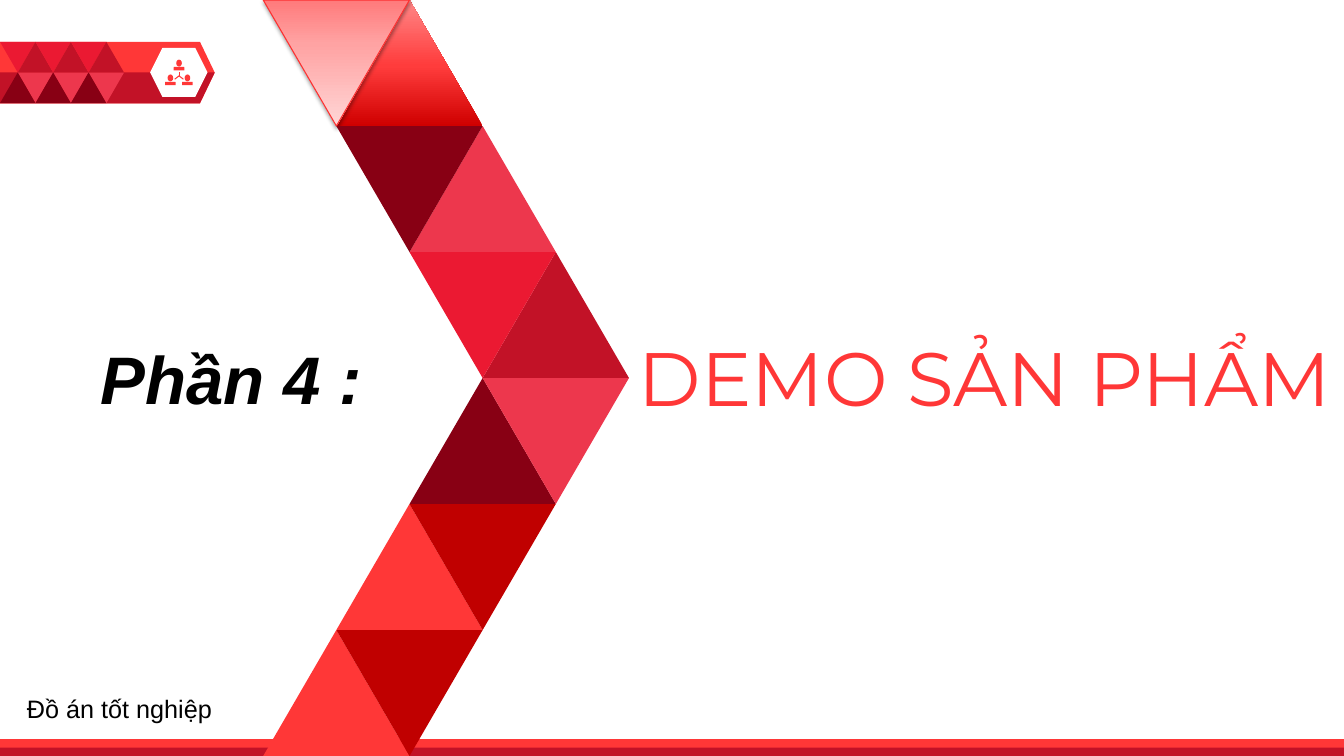
from copy import deepcopy

from lxml import etree
from pptx import Presentation
from pptx.dml.color import RGBColor
from pptx.enum.shapes import MSO_CONNECTOR, MSO_SHAPE
from pptx.enum.text import MSO_ANCHOR, MSO_AUTO_SIZE, PP_ALIGN
from pptx.oxml.ns import qn
from pptx.util import Pt

TRIANGLE = MSO_SHAPE.ISOSCELES_TRIANGLE
PENTAGON = MSO_SHAPE.PENTAGON
HEXAGON = MSO_SHAPE.HEXAGON
RECTANGLE = MSO_SHAPE.RECTANGLE
OVAL = MSO_SHAPE.OVAL
SHOULDERS = MSO_SHAPE.ROUND_2_SAME_RECTANGLE
STRAIGHT = MSO_CONNECTOR.STRAIGHT
TOP = MSO_ANCHOR.TOP
NO_AUTOFIT = MSO_AUTO_SIZE.NONE
LEFT, CENTER = PP_ALIGN.LEFT, PP_ALIGN.CENTER

RED, CRIMSON, SCARLET = "FF3737", "C21227", "EB1932"
ROSE, MAROON, DARK_RED = "ED374D", "880014", "C00000"
WHITE, BLACK = "FFFFFF", "000000"


def rgb(code):
    return RGBColor.from_string(code)


class SectionSlide:
    """Holds the slide and draws each kind of element, with lengths in points."""

    def __init__(self, slide):
        self.slide = slide
        self.shapes = slide.shapes

    def paint(self, shape, fill):
        shape.shadow.inherit = False
        shape.line.fill.background()
        if isinstance(fill, str):
            shape.fill.solid()
            shape.fill.fore_color.rgb = rgb(fill)
        else:
            self.gradient(shape, fill)
        return shape

    def gradient(self, shape, stops):
        """Fill upwards with three (position, colour) stops."""
        shape.fill.gradient()
        shape.fill.gradient_angle = 90
        stop_list = shape._element.spPr.find(qn("a:gradFill")).find(qn("a:gsLst"))
        stop_list.append(deepcopy(stop_list[0]))
        for stop, (position, colour) in zip(shape.fill.gradient_stops, stops):
            stop.position = position
            stop.color.rgb = rgb(colour)

    def preset(self, kind, left, top, width, height, fill):
        shape = self.shapes.add_shape(kind, Pt(left), Pt(top), Pt(width), Pt(height))
        return self.paint(shape, fill)

    def triangle(self, left, top, width, height, fill, down=False):
        shape = self.preset(TRIANGLE, left, top, width, height, fill)
        shape.rotation = 180 if down else 0
        return shape

    def outline(self, points, fill):
        corners = [(Pt(x), Pt(y)) for x, y in points]
        builder = self.shapes.build_freeform(*corners[0])
        builder.add_line_segments(corners[1:])
        return self.paint(builder.convert_to_shape(), fill)

    def line(self, x1, y1, x2, y2, colour, weight):
        connector = self.shapes.add_connector(STRAIGHT, Pt(x1), Pt(y1), Pt(x2), Pt(y2))
        connector.line.color.rgb = rgb(colour)
        connector.line.width = Pt(weight)
        etree.SubElement(connector._element.spPr, qn("a:effectLst"))

    def drop_shadow(self, shape):
        effects = shape._element.spPr.find(qn("a:effectLst"))
        shadow = etree.SubElement(effects, qn("a:outerShdw"), blurRad=str(Pt(3.1)),
                                  dist=str(Pt(1.6)), dir="5400000", rotWithShape="0")
        colour = etree.SubElement(shadow, qn("a:srgbClr"), val=BLACK)
        etree.SubElement(colour, qn("a:alpha"), val="36000")

    def person(self, center, top):
        self.preset(OVAL, center - 2, top, 4, 5, RED)
        self.preset(SHOULDERS, center - 3.8, top + 5.2, 7.6, 2.4, RED)

    def set_text(self, holder, text, size, font, colour, align=LEFT, bold=False, italic=False):
        frame = holder.text_frame
        frame.word_wrap = True
        frame.auto_size = NO_AUTOFIT
        frame.vertical_anchor = TOP
        frame.text = text
        paragraph = frame.paragraphs[0]
        paragraph.alignment = align
        paragraph.font.name = font
        paragraph.font.size = Pt(size)
        paragraph.font.bold = bold
        paragraph.font.italic = italic
        paragraph.font.color.rgb = rgb(colour)

    def title(self, left, top, width, height, text, *style):
        heading = self.shapes.title
        heading.left, heading.top = Pt(left), Pt(top)
        heading.width, heading.height = Pt(width), Pt(height)
        self.set_text(heading, text, *style)

    def text(self, left, top, width, height, text, *style):
        box = self.shapes.add_textbox(Pt(left), Pt(top), Pt(width), Pt(height))
        self.set_text(box, text, *style)


def draw_badge(page):
    left_edge, top, middle, bottom, tip = 0, 29.9, 51.8, 73.8, 153.4
    banner = page.preset(PENTAGON, left_edge, top, tip, bottom - top, RED)
    banner.adjustments[0] = 0.24
    page.outline([(left_edge, middle), (tip, middle), (142.8, bottom), (left_edge, bottom)],
                 CRIMSON)
    page.preset(HEXAGON, 107.3, 34.2, 41, 35, WHITE)

    for center, head_top in ((127.9, 42.6), (121.7, 53.2), (133.9, 53.2)):
        page.person(center, head_top)
    for x, y in ((127.9, 51.2), (124.8, 56.6), (131, 56.6)):
        page.line(127.9, 54.2, x, y, RED, 0.75)

    width, height, shift = 25.3, 21.9, 12.7
    for column in range(3):
        left = column * width
        page.triangle(left, top, width, height, SCARLET, True)
        page.triangle(left + shift, top, width, height, CRIMSON)
        page.triangle(left + shift, middle, width, height, ROSE, True)
        page.triangle(left, middle, width, height, MAROON)


def draw_chevron(page):
    start, width, height = 188, 104.5, 90
    bright = [(0, "CF0000"), (0.48, "FF3C3C"), (1, "FF8787")]
    pale = [(0, "FF7A7B"), (0.35, "FFA3A3"), (1, "FFD6D6")]
    # Each row: step and fill of the upright triangle, then of the inverted one
    rows = [
        (1, bright, 0, pale),
        (2, ROSE, 1, MAROON),
        (3, CRIMSON, 2, SCARLET),
        (2, MAROON, 3, ROSE),
        (1, RED, 2, DARK_RED),
        (0, RED, 1, DARK_RED),
    ]
    for row, (up_step, up_fill, down_step, down_fill) in enumerate(rows):
        top = row * height
        page.triangle(start + up_step * width / 2, top, width, height, up_fill)
        inverted = page.triangle(start + down_step * width / 2, top, width, height,
                                 down_fill, True)
        if down_fill is pale:
            inverted.line.color.rgb = rgb("FD3030")
            inverted.line.width = Pt(0.75)
            page.drop_shadow(inverted)


def main():
    deck = Presentation()
    deck.slide_width, deck.slide_height = Pt(960), Pt(540)
    page = SectionSlide(deck.slides.add_slide(deck.slide_layouts[5]))

    draw_badge(page)
    page.preset(RECTANGLE, 0, 528, 960, 12, RED)
    page.preset(RECTANGLE, 0, 534, 960, 6, CRIMSON)
    draw_chevron(page)

    page.text(64.8, 237.6, 296.6, 65, "Phần 4 :", 48, "Arial", BLACK, LEFT, True, True)
    page.title(421.9, 232.6, 563, 72.7, "DEMO SẢN PHẨM", 54, "Montserrat", RED, CENTER)
    page.text(12.2, 491.8, 203.8, 29, "Đồ án tốt nghiệp", 18, "Arial", BLACK)

    deck.save("out.pptx")


if __name__ == "__main__":
    main()
